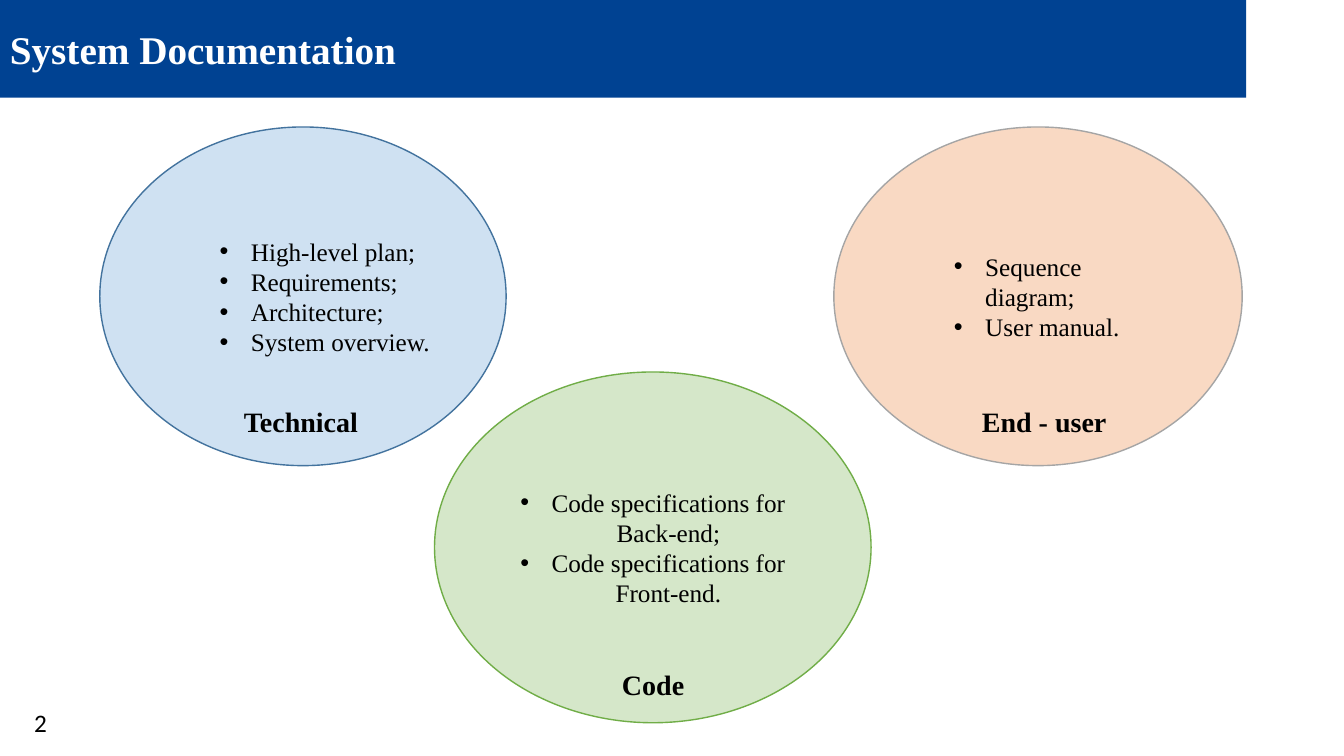
import pptx
import pptx.dml.color
import pptx.enum.shapes
import pptx.enum.text
import pptx.oxml.ns
import pptx.util
from lxml import etree

EMU_PER_PX = 9144
SERIF = "Times New Roman"
SHAPE = pptx.enum.shapes.MSO_SHAPE
ALIGN = pptx.enum.text.PP_ALIGN
COLORS = {
    "banner": "004292",
    "white": "FFFFFF",
    "black": "000000",
    "technical": "5B9BD5",
    "technical_line": "43739E",
    "end_user": "ED7D31",
    "end_user_line": "A5A5A5",
    "code": "70AD47",
}


def px(length):
    """Turn a length in px into EMU."""
    return pptx.util.Emu(length * EMU_PER_PX)


def rgb(name):
    """Look up a colour by name."""
    return pptx.dml.color.RGBColor.from_string(COLORS[name])


def add_run(paragraph, text, size, color="black", bold=False, font=SERIF):
    """Add one styled run to a paragraph."""
    run = paragraph.add_run()
    run.text = text
    run.font.name = font
    run.font.size = pptx.util.Pt(size)
    run.font.bold = bold
    run.font.color.rgb = rgb(color)


def add_filled(slide, preset, box, fill):
    """Add a flat preset shape with vertically centred text."""
    shape = slide.shapes.add_shape(preset, *map(px, box))
    shape.shadow.inherit = False
    shape.fill.solid()
    shape.fill.fore_color.rgb = rgb(fill)
    shape.text_frame.word_wrap = True
    shape.text_frame.vertical_anchor = pptx.enum.text.MSO_ANCHOR.MIDDLE
    return shape


def add_banner(slide, title):
    """Add the title banner along the top."""
    banner = add_filled(slide, SHAPE.RECTANGLE, (0, 0, 1236, 97), "banner")
    banner.line.fill.background()
    heading = banner.text_frame.paragraphs[0]
    heading.alignment = ALIGN.LEFT
    add_run(heading, title, 28, "white", True)


def set_bullet(paragraph, margin, hanging):
    """Give a paragraph a round bullet with a hanging indent."""
    properties = paragraph._p.get_or_add_pPr()
    properties.set("marL", str(px(margin)))
    properties.set("indent", str(px(-hanging)))
    bullet_font = etree.SubElement(properties, pptx.oxml.ns.qn("a:buFont"))
    bullet_font.set("typeface", "Arial")
    bullet = etree.SubElement(properties, pptx.oxml.ns.qn("a:buChar"))
    bullet.set("char", "•")


def add_audience(slide, box, fill, outline, items, level, align):
    """Add a translucent ellipse holding a bulleted list of documents."""
    ellipse = add_filled(slide, SHAPE.OVAL, box, fill)
    tint = ellipse.fill._xPr.find(".//" + pptx.oxml.ns.qn("a:srgbClr"))
    etree.SubElement(tint, pptx.oxml.ns.qn("a:alpha")).set("val", "29000")
    ellipse.line.color.rgb = rgb(outline)
    ellipse.line.width = pptx.util.Pt(1)
    frame = ellipse.text_frame
    for index, item in enumerate(items):
        entry = frame.add_paragraph() if index else frame.paragraphs[0]
        entry.level = level
        entry.alignment = align
        set_bullet(entry, 31 + 50 * level, 31)
        add_run(entry, item, 18)


def add_label(slide, box, text, size, bold=False, font=SERIF):
    """Add a single-line text box that fits its text."""
    label = slide.shapes.add_textbox(*map(px, box))
    label.text_frame.word_wrap = False
    label.text_frame.auto_size = pptx.enum.text.MSO_AUTO_SIZE.SHAPE_TO_FIT_TEXT
    add_run(label.text_frame.paragraphs[0], text, size, "black", bold, font)


def main():
    """Build the system documentation slide."""
    deck = pptx.Presentation()
    deck.slide_width, deck.slide_height = px(1333), px(750)
    slide = deck.slides.add_slide(deck.slide_layouts[6])

    add_banner(slide, "System Documentation")
    add_label(slide, (24, 697, 33, 40), "2", 18, font="Calibri")

    technical = ("High-level plan;", "Requirements;", "Architecture;", "System overview.")
    end_user = ("Sequence diagram;", "User manual.")
    code = [f"Code specifications for {side}" for side in ("Back-end;", "Front-end.")]
    audiences = (
        ((99, 126, 403, 336), "technical", "technical_line", technical, 1, ALIGN.LEFT),
        ((827, 126, 405, 336), "end_user", "end_user_line", end_user, 1, ALIGN.LEFT),
        ((431, 369, 433, 348), "code", "code", code, 0, ALIGN.CENTER),
    )
    for audience in audiences:
        add_audience(slide, *audience)

    captions = (
        ((232, 396, 136, 44), "Technical"),
        ((964, 396, 144, 44), "End - user"),
        ((607, 657, 82, 44), "Code"),
    )
    for box, caption in captions:
        add_label(slide, box, caption, 20, bold=True)

    deck.save("out.pptx")


if __name__ == "__main__":
    main()
